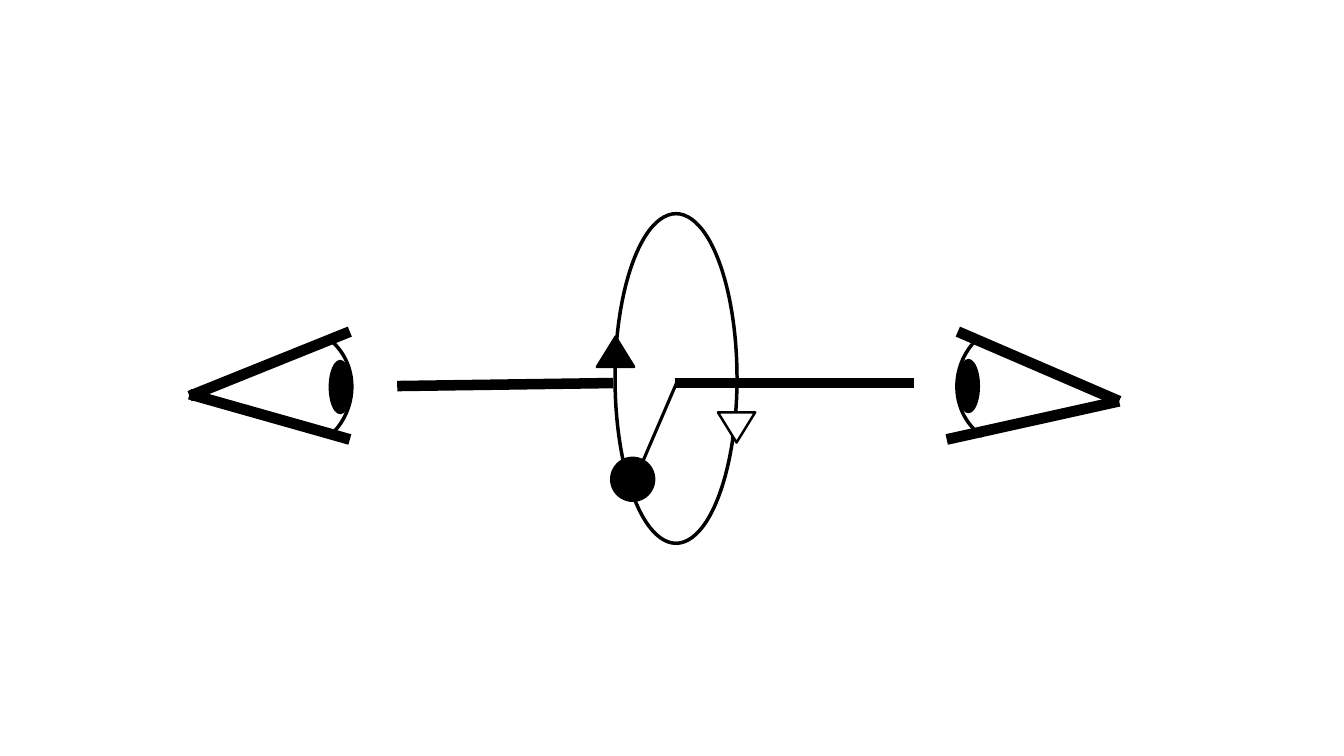
from pptx import Presentation
from pptx.dml.color import RGBColor
from pptx.enum.shapes import MSO_CONNECTOR, MSO_SHAPE
from pptx.oxml.ns import qn
from pptx.util import Inches, Pt
from lxml import etree

BLACK, WHITE = "000000", "FFFFFF"
LID_WIDTH, AXIS_WIDTH, OUTLINE_WIDTH = 7.75, 7.5, 2.5
EYEBALL_SIZE = (1.21, 1.27)
PUPIL_SIZE = (0.23, 0.54)
ARROW_SIZE = (0.37, 0.3)
ARC_ADJUSTMENTS = (162, 6.071)

# Lids are (start, end); eyeball and pupil are (left, top), each with a rotation
EYES = [
    {"lids": [((11.1, 3.98), (9.39, 4.36)), ((11.1, 3.98), (9.5, 3.29))],
     "eyeball": (9.5, 3.17), "eyeball_turn": 214.6,
     "pupil": (9.49, 3.56), "pupil_turn": 180},
    {"lids": [((1.88, 3.93), (3.47, 3.29)), ((1.88, 3.91), (3.47, 4.36))],
     "eyeball": (2.27, 3.23), "eyeball_turn": 34.6,
     "pupil": (3.26, 3.57), "pupil_turn": 0},
]
AXIS = [((3.94, 3.83), (6.08, 3.8)), ((6.69, 3.8), (9.07, 3.8))]
ORBIT = ((6.1, 2.12), (1.21, 3.27))
ARROWS = [((5.92, 3.34), 0, BLACK), ((7.12, 4.09), 180, WHITE)]
RADIUS = ((6.71, 3.8), (6.31, 4.73))
BALL = ((6.05, 4.53), (0.45, 0.45))


def color(value):
    return RGBColor.from_string(value)


def add_line(slide, start, end, width):
    line = slide.shapes.add_connector(
        MSO_CONNECTOR.STRAIGHT, *(Inches(value) for value in (*start, *end)))
    line.line.color.rgb = color(BLACK)
    line.line.width = Pt(width)
    etree.SubElement(line._element.spPr, qn("a:effectLst"))


def add_figure(slide, kind, position, size, fill=None, width=None, turn=0):
    """Add a preset shape; without fill or width that part is left clear."""
    shape = slide.shapes.add_shape(
        kind, *(Inches(value) for value in (*position, *size)))
    shape.shadow.inherit = False
    shape.rotation = turn
    if fill:
        shape.fill.solid()
        shape.fill.fore_color.rgb = color(fill)
    else:
        shape.fill.background()
    if width:
        shape.line.color.rgb = color(BLACK)
        shape.line.width = Pt(width)
    else:
        shape.line.fill.background()
    return shape


def add_eye(slide, eye):
    for start, end in eye["lids"]:
        add_line(slide, start, end, LID_WIDTH)
    eyeball = add_figure(slide, MSO_SHAPE.ARC, eye["eyeball"], EYEBALL_SIZE,
                         width=OUTLINE_WIDTH, turn=eye["eyeball_turn"])
    for index, value in enumerate(ARC_ADJUSTMENTS):
        eyeball.adjustments[index] = value
    add_figure(slide, MSO_SHAPE.OVAL, eye["pupil"], PUPIL_SIZE,
               fill=BLACK, turn=eye["pupil_turn"])


def main():
    presentation = Presentation()
    presentation.slide_width = Inches(13.33)
    presentation.slide_height = Inches(7.5)
    slide = presentation.slides.add_slide(presentation.slide_layouts[6])

    for eye in EYES:
        add_eye(slide, eye)
    for start, end in AXIS:
        add_line(slide, start, end, AXIS_WIDTH)
    add_figure(slide, MSO_SHAPE.OVAL, *ORBIT, width=OUTLINE_WIDTH)
    for position, turn, fill in ARROWS:
        add_figure(slide, MSO_SHAPE.ISOSCELES_TRIANGLE, position, ARROW_SIZE,
                   fill=fill, width=1.75, turn=turn)
    add_line(slide, *RADIUS, 2.25)
    add_figure(slide, MSO_SHAPE.OVAL, *BALL, fill=BLACK)

    presentation.save("out.pptx")


if __name__ == "__main__":
    main()
